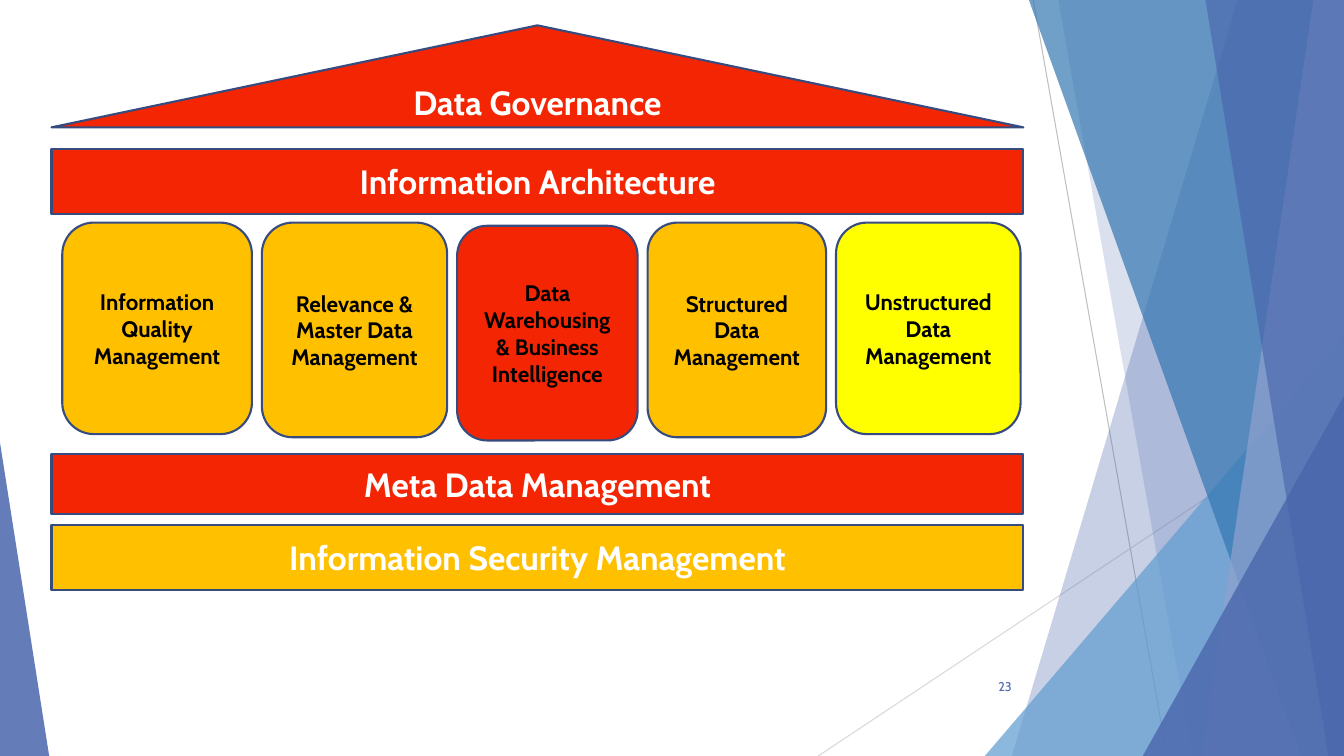
from dataclasses import dataclass

from lxml.etree import SubElement
from pptx import Presentation
from pptx.dml.color import RGBColor
from pptx.enum.shapes import MSO_CONNECTOR, MSO_SHAPE
from pptx.enum.text import MSO_ANCHOR, PP_ALIGN
from pptx.oxml.ns import qn
from pptx.shapes.autoshape import Shape
from pptx.slide import Slide
from pptx.text.text import TextFrame
from pptx.util import Cm, Pt

WHITE = RGBColor(0xFF, 0xFF, 0xFF)
BLACK = RGBColor(0x00, 0x00, 0x00)
RED = RGBColor(0xF3, 0x25, 0x03)
AMBER = RGBColor(0xFF, 0xC0, 0x00)
YELLOW = RGBColor(0xFF, 0xFF, 0x00)
OUTLINE = RGBColor(0x37, 0x4B, 0x7F)
INDIGO = RGBColor(0x4A, 0x66, 0xAC)
SKY = RGBColor(0x62, 0x9D, 0xD1)
OCEAN = RGBColor(0x34, 0x77, 0xB2)
LAVENDER = RGBColor(0x90, 0xA2, 0xCF)
GREY = RGBColor(0xBF, 0xBF, 0xBF)
LIGHT_GREY = RGBColor(0xD9, 0xD9, 0xD9)

SLIDE_WIDTH, SLIDE_HEIGHT = 33.87, 19.05
HOUSE_LEFT, HOUSE_WIDTH = 1.3, 24.49
PILLAR_LEFT, PILLAR_GAP = 1.57, 0.25


@dataclass(frozen=True)
class Ray:
    start: tuple[float, float]
    end: tuple[float, float]
    colour: RGBColor


@dataclass(frozen=True)
class Facet:
    """A full-height panel from a slanted left edge to the slide's right edge."""
    top_x: float
    bottom_x: float
    colour: RGBColor
    opacity: int


@dataclass(frozen=True)
class Corner:
    """A right triangle standing on the slide's bottom edge."""
    left: float
    width: float
    height: float
    apex: float
    colour: RGBColor
    opacity: int


@dataclass(frozen=True)
class Layer:
    text: str
    top: float
    height: float
    colour: RGBColor
    outline: MSO_SHAPE = MSO_SHAPE.RECTANGLE


@dataclass(frozen=True)
class Pillar:
    text: str
    top: float
    width: float
    height: float
    colour: RGBColor


RAYS = [
    Ray((26.04, 0), (29.41, SLIDE_HEIGHT), GREY),
    Ray((SLIDE_WIDTH, 10.24), (20.62, SLIDE_HEIGHT), LIGHT_GREY),
]
DECORATION = [
    Facet(31.19, 25.5, INDIGO, 30),
    Facet(26.67, 30.05, INDIGO, 20),
    Corner(24.82, 9.05, 10.59, 1, SKY, 72),
    Facet(25.93, 32.79, OCEAN, 70),
    Facet(33.1, 30.28, LAVENDER, 70),
    Facet(30.38, 33.48, INDIGO, 65),
    Corner(28.8, 5.07, 9.07, 1, INDIGO, 80),
    Corner(0, 1.24, 7.9, 0, INDIGO, 85),
]
LAYERS = [
    Layer("Meta Data Management", 11.43, 1.52, RED),
    Layer("Information Security Management", 13.23, 1.63, AMBER),
    Layer("Information Architecture", 3.76, 1.63, RED),
    Layer("Data Governance", 0.64, 2.57, RED, MSO_SHAPE.ISOSCELES_TRIANGLE),
]
PILLARS = [
    Pillar("Information Quality Management", 5.61, 4.78, 5.33, AMBER),
    Pillar("Relevance & Master Data Management", 5.61, 4.67, 5.41, AMBER),
    Pillar("Data Warehousing & Business Intelligence", 5.69, 4.55, 5.41, RED),
    Pillar("Structured Data Management", 5.61, 4.5, 5.41, AMBER),
    Pillar("Unstructured Data Management", 5.61, 4.65, 5.33, YELLOW),
]


def write_text(frame: TextFrame, text: str, size: int, colour: RGBColor,
               bold: bool = True, alignment: PP_ALIGN = PP_ALIGN.CENTER) -> None:
    frame.word_wrap = True
    frame.vertical_anchor = MSO_ANCHOR.MIDDLE
    paragraph = frame.paragraphs[0]
    paragraph.alignment = alignment
    run = paragraph.add_run()
    run.text = text
    run.font.color.rgb = colour
    font_format = {"name": "Cabin", "size": Pt(size), "bold": bold}
    for attribute, value in font_format.items():
        setattr(run.font, attribute, value)


def paint(shape: Shape, colour: RGBColor) -> None:
    shape.shadow.inherit = False
    shape.fill.solid()
    shape.fill.fore_color.rgb = colour


def draw_ray(slide: Slide, ray: Ray) -> None:
    connector = slide.shapes.add_connector(
        MSO_CONNECTOR.STRAIGHT, *map(Cm, ray.start + ray.end))
    connector.line.color.rgb = ray.colour
    connector.line.width = Pt(0.75)
    SubElement(connector._element.spPr, qn("a:effectLst"))


def draw_decoration(slide: Slide, part: Facet | Corner) -> None:
    if isinstance(part, Facet):
        builder = slide.shapes.build_freeform(Cm(part.top_x), 0)
        corners = [(SLIDE_WIDTH, 0), (SLIDE_WIDTH, SLIDE_HEIGHT),
                   (part.bottom_x, SLIDE_HEIGHT)]
        builder.add_line_segments([(Cm(x), Cm(y)) for x, y in corners])
        shape = builder.convert_to_shape()
    else:
        shape = slide.shapes.add_shape(
            MSO_SHAPE.ISOSCELES_TRIANGLE, Cm(part.left),
            Cm(SLIDE_HEIGHT - part.height), Cm(part.width), Cm(part.height))
        shape.adjustments[0] = part.apex
    paint(shape, part.colour)
    shape.line.fill.background()
    colour_element = shape._element.spPr.find(qn("a:solidFill"))[0]
    SubElement(colour_element, qn("a:alpha"), val=str(part.opacity * 1000))


def draw_block(slide: Slide, block: Layer | Pillar, outline: MSO_SHAPE,
               left: float, width: float, size: int, text_colour: RGBColor) -> None:
    shape = slide.shapes.add_shape(
        outline, Cm(left), Cm(block.top), Cm(width), Cm(block.height))
    paint(shape, block.colour)
    shape.line.color.rgb = OUTLINE
    shape.line.width = Pt(1.5)
    write_text(shape.text_frame, block.text, size, text_colour)


def main() -> None:
    presentation = Presentation()
    presentation.slide_width = Cm(SLIDE_WIDTH)
    presentation.slide_height = Cm(SLIDE_HEIGHT)
    slide = presentation.slides.add_slide(presentation.slide_layouts[6])

    for ray in RAYS:
        draw_ray(slide, ray)
    for part in DECORATION:
        draw_decoration(slide, part)

    number_box = slide.shapes.add_textbox(Cm(23.85), Cm(16.79), Cm(1.9), Cm(1.02))
    write_text(number_box.text_frame, "23", 9, INDIGO, False, PP_ALIGN.RIGHT)

    for layer in LAYERS:
        draw_block(slide, layer, layer.outline, HOUSE_LEFT, HOUSE_WIDTH, 24, WHITE)
    left = PILLAR_LEFT
    for pillar in PILLARS:
        draw_block(slide, pillar, MSO_SHAPE.ROUNDED_RECTANGLE,
                   left, pillar.width, 16, BLACK)
        left += pillar.width + PILLAR_GAP

    presentation.save("out.pptx")


if __name__ == "__main__":
    main()
